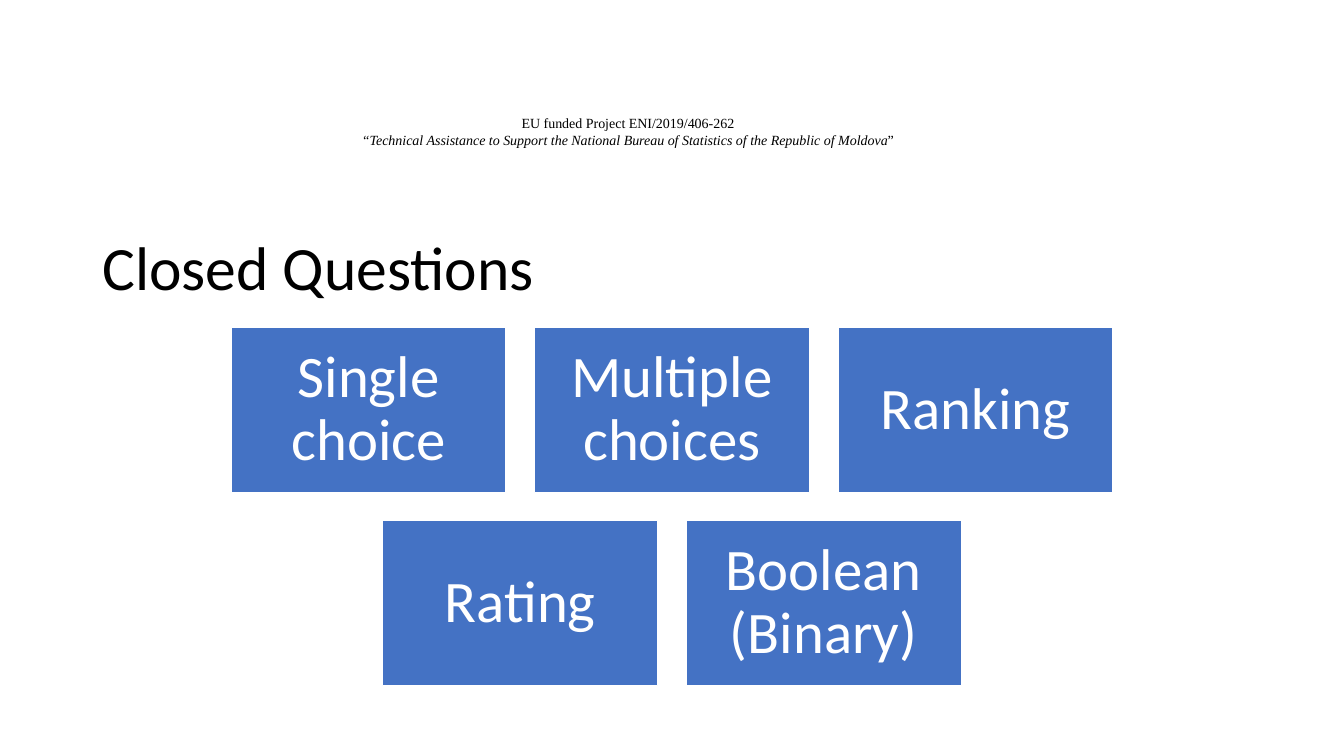
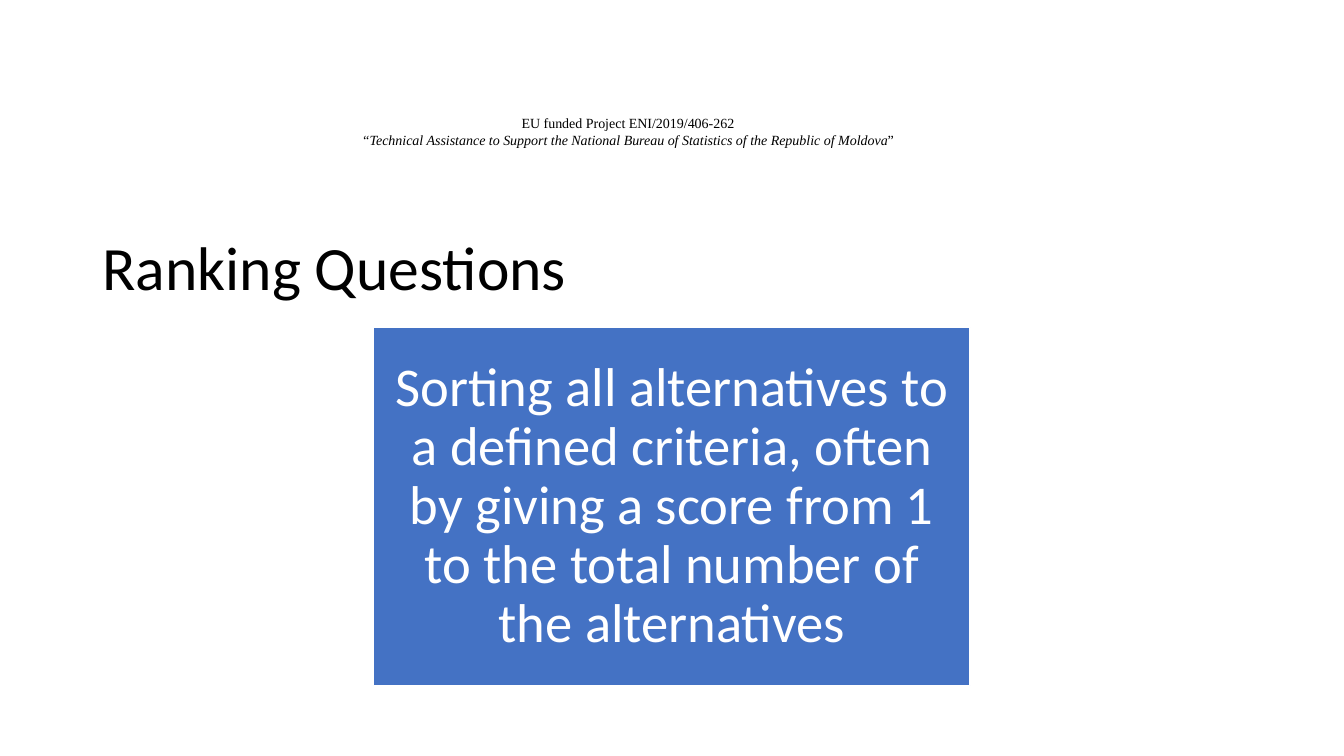
from pptx import Presentation
from pptx import util as u
from pptx.dml.color import RGBColor
from pptx.enum import shapes, text

PX = 9525
BLACK, WHITE, BLUE = "000000", "FFFFFF", "4472C4"
BODY_FONT, BANNER_FONT = "Calibri", "Times New Roman"
BANNER_BOX = (278, 104, 640, 42)
TITLE_BOX = (88, 155, 1104, 139)
TILES_BOX = (220, 312, 840, 341)
STATEMENT_BOX = (356, 312, 568, 341)
GAP = 27


def px(n):
    """Turn px into EMU."""
    return u.Emu(round(n * PX))


def rgb(color):
    """Turn a hex string into a colour."""
    return RGBColor.from_string(color)


def add_text(p, words, size, color=BLACK, font=BODY_FONT, italic=False,
             align=text.PP_ALIGN.CENTER, spacing=None):
    """Add a formatted run to a paragraph."""
    p.alignment = align
    if spacing:
        p.line_spacing = spacing
    r = p.add_run()
    r.text = words
    r.font.size = u.Pt(size)
    r.font.name = font
    r.font.italic = italic
    r.font.color.rgb = rgb(color)


def add_banner(slide, box):
    """Place the two centred project lines."""
    tf = slide.shapes.add_textbox(*map(px, box)).text_frame
    tf.word_wrap = True
    tf.auto_size = text.MSO_AUTO_SIZE.SHAPE_TO_FIT_TEXT
    style = dict(size=10, font=BANNER_FONT)
    add_text(tf.paragraphs[0], "EU funded Project ENI/2019/406-262", **style)
    p = tf.add_paragraph()
    add_text(p, "“Technical Assistance to Support the National Bureau of "
                "Statistics of the Republic of Moldova", italic=True, **style)
    add_text(p, "”", **style)


def add_title(slide, words, box):
    """Place and format the title placeholder."""
    sp = slide.shapes.title
    sp.left, sp.top, sp.width, sp.height = map(px, box)
    tf = sp.text_frame
    tf.word_wrap = True
    tf.auto_size = text.MSO_AUTO_SIZE.NONE
    tf.vertical_anchor = text.MSO_ANCHOR.BOTTOM
    add_text(tf.paragraphs[0], words, 44, align=text.PP_ALIGN.LEFT, spacing=0.9)


def add_tile(slide, words, box, size, inset):
    """Draw one blue tile with centred white text."""
    sp = slide.shapes.add_shape(shapes.MSO_SHAPE.RECTANGLE, *map(px, box))
    sp.shadow.inherit = False
    sp.fill.solid()
    sp.fill.fore_color.rgb = rgb(BLUE)
    sp.line.color.rgb = rgb(WHITE)
    sp.line.width = u.Pt(1)
    tf = sp.text_frame
    tf.word_wrap = True
    tf.vertical_anchor = text.MSO_ANCHOR.MIDDLE
    tf.margin_left = tf.margin_right = px(inset)
    tf.margin_top = tf.margin_bottom = px(inset)
    add_text(tf.paragraphs[0], words, size, color=WHITE, spacing=0.9)


def add_tile_rows(slide, rows, box):
    """Lay out rows of equal tiles, each row centred in the box."""
    left, top, width, height = box
    columns = max(map(len, rows))
    w = (width - GAP * (columns - 1)) / columns
    h = (height - GAP * (len(rows) - 1)) / len(rows)
    for i, row in enumerate(rows):
        row_width = len(row) * (w + GAP) - GAP
        x = left + (width - row_width) / 2
        for j, words in enumerate(row):
            tile = (x + j * (w + GAP), top + i * (h + GAP), w, h)
            add_tile(slide, words, tile, size=42, inset=16)


def add_slide(prs, title):
    """Add a slide with the shared banner and title."""
    slide = prs.slides.add_slide(prs.slide_layouts[5])
    add_banner(slide, BANNER_BOX)
    add_title(slide, title, TITLE_BOX)
    return slide


def main():
    """Build and save the presentation."""
    prs = Presentation()
    prs.slide_width, prs.slide_height = px(1280), px(720)

    slide = add_slide(prs, "Closed Questions")
    add_tile_rows(slide, [("Single choice", "Multiple choices", "Ranking"),
                          ("Rating", "Boolean (Binary)")], TILES_BOX)

    slide = add_slide(prs, "Ranking Questions")
    add_tile(slide, "Sorting all alternatives to a defined criteria, often by "
                    "giving a score from 1 to the total number of the "
                    "alternatives", STATEMENT_BOX, size=39, inset=15)

    prs.save("out.pptx")


if __name__ == "__main__":
    main()
